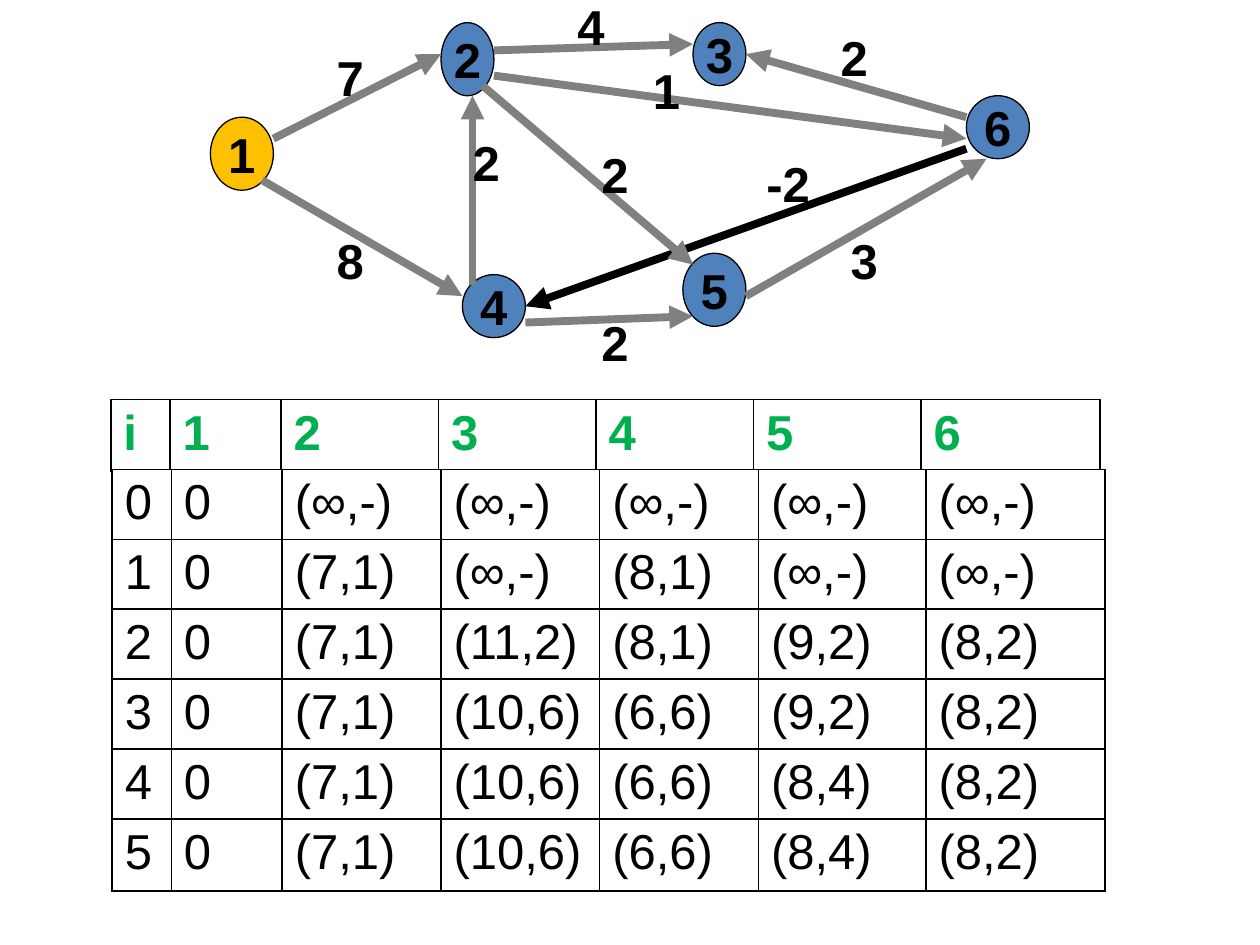
"""Build a slide showing a weighted graph and its Bellman-Ford distance table."""
from lxml import etree
from pptx import Presentation
from pptx.dml.color import RGBColor
from pptx.enum.shapes import MSO_CONNECTOR, MSO_SHAPE
from pptx.enum.text import MSO_ANCHOR, MSO_AUTO_SIZE, PP_ALIGN
from pptx.oxml.ns import qn
from pptx.util import Inches, Pt

OVAL, STRAIGHT = MSO_SHAPE.OVAL, MSO_CONNECTOR.STRAIGHT
TOP, MIDDLE = MSO_ANCHOR.TOP, MSO_ANCHOR.MIDDLE
CENTER, LEFT = PP_ALIGN.CENTER, PP_ALIGN.LEFT
FIT_SHAPE = MSO_AUTO_SIZE.SHAPE_TO_FIT_TEXT

THEME = {
    "font": "Arial", "size": 28, "text": "000000", "header": "00B050",
    "start": "FFC000", "node": "4F81BD", "outline": "000000",
    "edge": "808080", "negative": "000000", "cell": "FFFFFF",
    "outline_pt": 0.75, "edge_pt": 4.5, "border_pt": 1,
}

NODES = [
    ("1", 1.67, 0.93, 0.5, 0.58),
    ("2", 3.5, 0.18, 0.42, 0.58),
    ("3", 5.5, 0.18, 0.42, 0.5),
    ("6", 7.67, 0.76, 0.5, 0.5),
    ("4", 3.67, 2.18, 0.5, 0.5),
    ("5", 5.42, 2.01, 0.5, 0.58),
]
EDGES = [
    ("7", (2.17, 1.1), (3.5, 0.43), (2.57, 0.33)),
    ("4", (3.92, 0.4), (5.5, 0.35), (4.48, -0.08)),
    ("2", (7.67, 0.93), (5.92, 0.43), (6.57, 0.17)),
    ("8", (2.08, 1.43), (3.67, 2.35), (2.57, 1.78)),
    ("2", (3.75, 2.26), (3.75, 0.76), (3.65, 1.0)),
    ("2", (4.17, 2.56), (5.5, 2.51), (4.67, 2.43)),
    ("3", (5.92, 2.35), (7.83, 1.26), (6.65, 1.78)),
    ("-2", (7.67, 1.18), (4.17, 2.43), (5.98, 1.17)),
    ("1", (3.92, 0.6), (7.67, 1.1), (5.08, 0.43)),
    ("2", (3.83, 0.68), (5.5, 2.1), (4.67, 1.1)),
]
HEADER = ["i", "1", "2", "3", "4", "5", "6"]
STEPS = [
    ["0", "0", "(∞,-)", "(∞,-)", "(∞,-)", "(∞,-)", "(∞,-)"],
    ["1", "0", "(7,1)", "(∞,-)", "(8,1)", "(∞,-)", "(∞,-)"],
    ["2", "0", "(7,1)", "(11,2)", "(8,1)", "(9,2)", "(8,2)"],
    ["3", "0", "(7,1)", "(10,6)", "(6,6)", "(9,2)", "(8,2)"],
    ["4", "0", "(7,1)", "(10,6)", "(6,6)", "(8,4)", "(8,2)"],
    ["5", "0", "(7,1)", "(10,6)", "(6,6)", "(8,4)", "(8,2)"],
]
HEADER_COLS = [0.47, 0.88, 1.25, 1.25, 1.25, 1.33, 1.42]
STEP_COLS = [0.47, 0.88, 1.26, 1.26, 1.26, 1.33, 1.42]
TABLE_TOP, ROW_PITCH, ROW_HEIGHT = 3.17, 0.555, 0.57
LABEL_HEIGHT = 0.57


def rgb(name):
    return RGBColor.from_string(THEME[name])


def write(tf, text, color="text", bold=True, align=CENTER):
    p = tf.paragraphs[0]
    p.text = text
    p.alignment = align
    p.font.name, p.font.size, p.font.bold = THEME["font"], Pt(THEME["size"]), bold
    p.font.color.rgb = rgb(color)


def add_node(s, text, *box):
    sp = s.shapes.add_shape(OVAL, *map(Inches, box))
    sp.shadow.inherit = False
    sp.fill.solid()
    sp.fill.fore_color.rgb = rgb("start" if text == "1" else "node")
    sp.line.color.rgb = rgb("outline")
    sp.line.width = Pt(THEME["outline_pt"])
    sp.text_frame.word_wrap = False
    sp.text_frame.vertical_anchor = MIDDLE
    write(sp.text_frame, text)


def add_edge(s, weight, start, end):
    sp = s.shapes.add_connector(STRAIGHT, *map(Inches, start + end))
    sp.line.color.rgb = rgb("negative" if weight.startswith("-") else "edge")
    sp.line.width = Pt(THEME["edge_pt"])
    etree.SubElement(sp.line._get_or_add_ln(), qn("a:tailEnd"), type="triangle")
    etree.SubElement(sp._element.spPr, qn("a:effectLst"))


def add_weight(s, weight, at):
    width = 0.55 if len(weight) > 1 else 0.42
    sp = s.shapes.add_textbox(*map(Inches, (*at, width, LABEL_HEIGHT)))
    tf = sp.text_frame
    tf.word_wrap, tf.auto_size, tf.vertical_anchor = False, FIT_SHAPE, TOP
    write(tf, weight)


def style_cell(cell):
    tcPr = cell._tc.get_or_add_tcPr()
    for side in ("lnL", "lnR", "lnT", "lnB"):
        ln = etree.SubElement(tcPr, qn(f"a:{side}"), w=str(Pt(THEME["border_pt"])))
        fill = etree.SubElement(ln, qn("a:solidFill"))
        etree.SubElement(fill, qn("a:srgbClr"), val=THEME["outline"])
    cell.fill.solid()
    cell.fill.fore_color.rgb = rgb("cell")


def add_strip(s, values, index):
    is_header = index == 0
    cols = HEADER_COLS if is_header else STEP_COLS
    box = (0.88 if is_header else 0.89, TABLE_TOP + index * ROW_PITCH, sum(cols), ROW_HEIGHT)
    table = s.shapes.add_table(1, len(values), *map(Inches, box)).table
    table.first_row = table.horz_banding = False
    for column, width, cell, value in zip(table.columns, cols, table.iter_cells(), values):
        column.width = Inches(width)
        style_cell(cell)
        write(cell.text_frame, value, "header" if is_header else "text", is_header, LEFT)


def main():
    prs = Presentation()
    prs.slide_width, prs.slide_height = Inches(10), Inches(7.5)
    s = prs.slides.add_slide(prs.slide_layouts[6])
    for node in NODES:
        add_node(s, *node)
    for weight, start, end, _ in EDGES:
        add_edge(s, weight, start, end)
    for weight, _, _, at in EDGES:
        add_weight(s, weight, at)
    for index, values in enumerate([HEADER] + STEPS):
        add_strip(s, values, index)
    prs.save("out.pptx")


if __name__ == "__main__":
    main()
